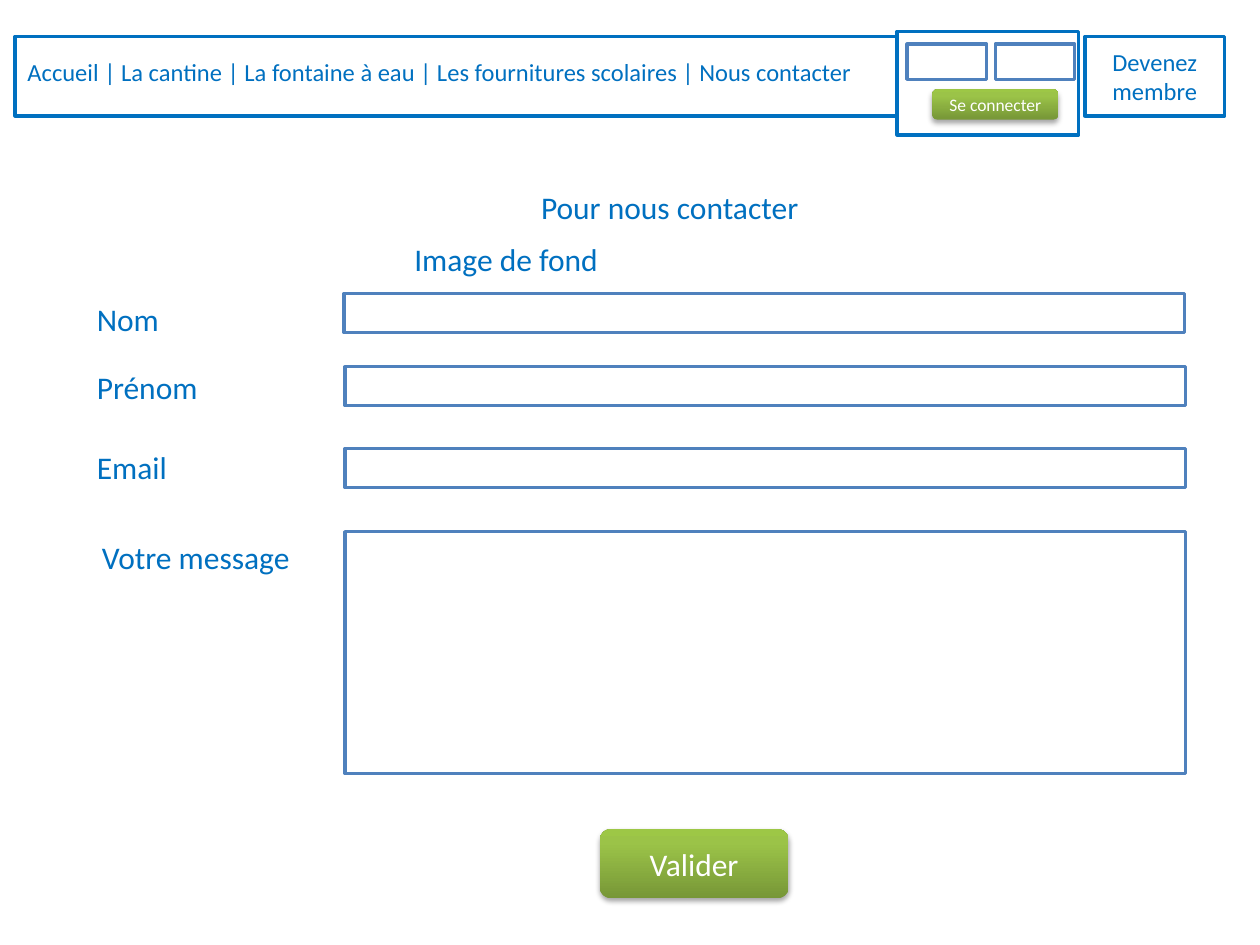
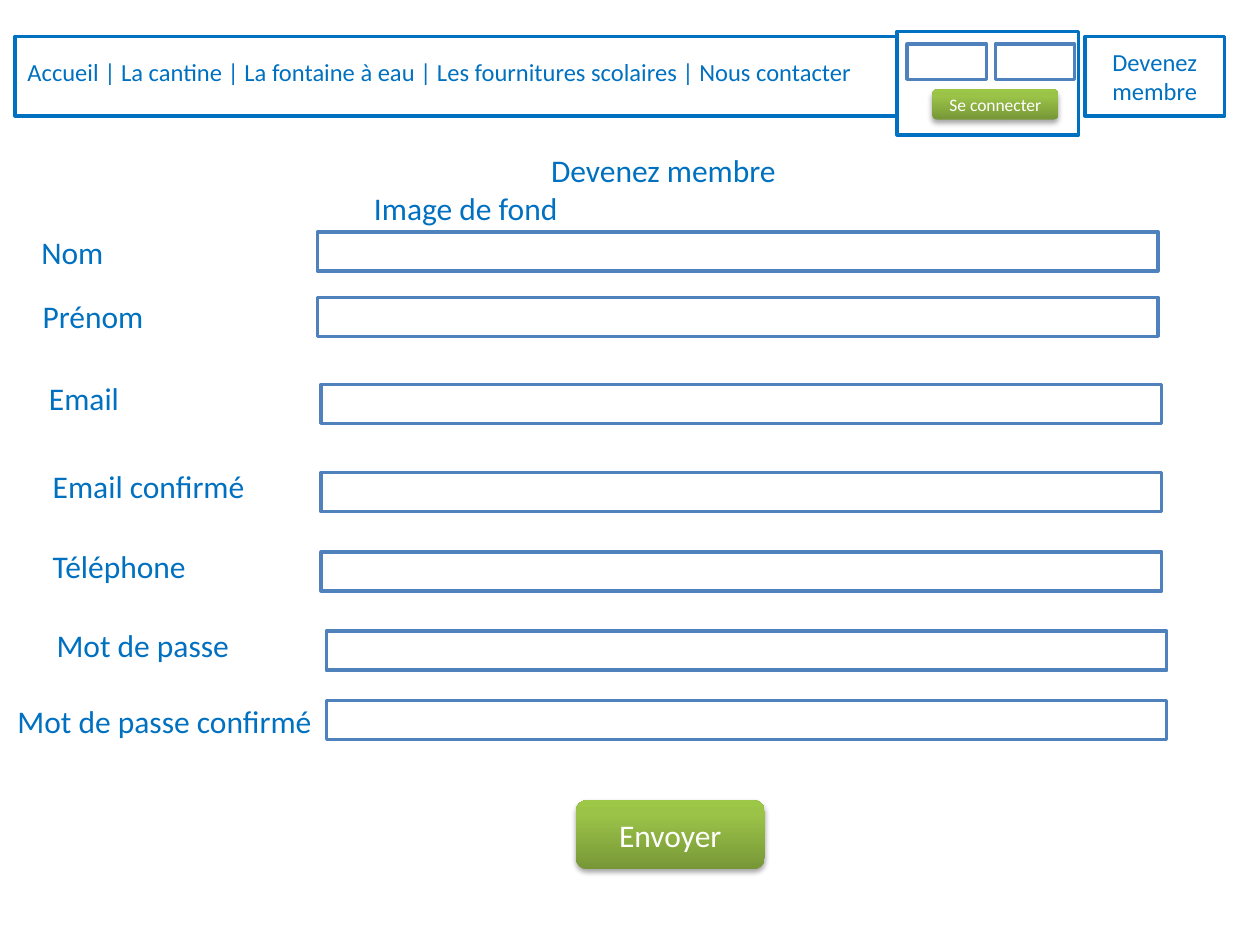
from pptx import Presentation
from pptx.dml.color import RGBColor
from pptx.enum.shapes import MSO_SHAPE as Kind
from pptx.enum.text import MSO_ANCHOR as Anchor, MSO_AUTO_SIZE as Auto, PP_ALIGN as Align
from pptx.oxml.ns import qn
from pptx.util import Inches, Pt
from lxml.etree import SubElement as Sub

FONT = "Calibri"
BLUE, STEEL, WHITE = "0070C0", "4F81BD", "FFFFFF"
GREEN = [(0, "779737"), (80, "9BC348"), (100, "9DC746")]
FIELD_W, FIELD_H, TEXT_H = 6.67, 0.31, 0.4

MENU = ["Accueil", "La cantine", "La fontaine à eau", "Les fournitures scolaires", "Nous contacter"]
JOIN = "Devenez membre"
LOGIN = "Se connecter"
BACK = "Image de fond"

# label, (left, top, width), field (left, top, height)
PAGES = [
    {
        "title": ("Pour nous contacter", 3.19, 1.44),
        "back": (3.19, 1.86),
        "rows": [
            ("Nom", (0.67, 2.33, 1.57), (2.73, 2.33, FIELD_H)),
            ("Prénom", (0.67, 2.87, 1.57), (2.74, 2.91, FIELD_H)),
            ("Email", (0.67, 3.51, 1.57), (2.74, 3.56, FIELD_H)),
            ("Votre message", (0.71, 4.22, 2.03), (2.74, 4.22, 1.92)),
        ],
        "send": ("Valider", 4.76, 6.58),
    },
    {
        "title": (JOIN, 3.14, 1.15),
        "back": (2.87, 1.45),
        "rows": [
            ("Nom", (0.23, 1.8, 1.57), (2.52, 1.84, FIELD_H)),
            ("Prénom", (0.24, 2.31, 1.57), (2.52, 2.36, FIELD_H)),
            ("Email", (0.29, 2.96, 1.57), (2.55, 3.05, FIELD_H)),
            ("Email confirmé", (0.32, 3.66, 1.81), (2.55, 3.75, FIELD_H)),
            ("Téléphone", (0.32, 4.29, 1.81), (2.55, 4.38, FIELD_H)),
            ("Mot de passe", (0.35, 4.92, 1.81), (2.59, 5.01, FIELD_H)),
            ("Mot de passe confirmé", (0.04, 5.52, 3.15), (2.59, 5.56, FIELD_H)),
        ],
        "send": ("Envoyer", 4.57, 6.35),
    },
]


def color(code):
    return RGBColor.from_string(code)


def write(shape, text, size, code, align):
    frame = shape.text_frame
    frame.text = text
    frame.word_wrap = True
    for para in frame.paragraphs:
        para.alignment = align
        for run in para.runs:
            run.font.name = FONT
            run.font.size = Pt(size)
            run.font.color.rgb = color(code)


def label(slide, text, left, top, width, height=TEXT_H, size=18, align=Align.LEFT):
    box = slide.shapes.add_textbox(*map(Inches, (left, top, width, height)))
    write(box, text, size, BLUE, align)
    box.text_frame.auto_size = Auto.SHAPE_TO_FIT_TEXT


def block(slide, kind, place):
    shape = slide.shapes.add_shape(kind, *map(Inches, place))
    shape.shadow.inherit = False
    shape.text_frame.vertical_anchor = Anchor.MIDDLE
    return shape


def frame(slide, *place, line=STEEL):
    shape = block(slide, Kind.RECTANGLE, place)
    shape.fill.solid()
    shape.fill.fore_color.rgb = color(WHITE)
    shape.line.color.rgb = color(line)
    shape.line.width = Pt(2)
    return shape


def button(slide, text, *place, size=18):
    shape = block(slide, Kind.ROUNDED_RECTANGLE, place)
    shape.line.fill.background()
    shape.fill.gradient()
    shape.fill.gradient_angle = 90
    props = shape._element.spPr
    stops = props.find(qn("a:gradFill")).find(qn("a:gsLst"))
    for stop in list(stops):
        stops.remove(stop)
    for spot, code in GREEN:
        stop = Sub(stops, qn("a:gs"), pos=str(spot * 1000))
        Sub(stop, qn("a:srgbClr"), val=code)
    shade = Sub(props.find(qn("a:effectLst")), qn("a:outerShdw"), blurRad=str(Pt(3.1)),
                dist=str(Pt(1.8)), dir="5400000", rotWithShape="0")
    tint = Sub(shade, qn("a:srgbClr"), val="000000")
    Sub(tint, qn("a:alpha"), val="35000")
    write(shape, text, size, WHITE, Align.CENTER)


def header(slide):
    frame(slide, 0.12, 0.29, 7.24, 0.63, line=BLUE)
    join = frame(slide, 8.61, 0.29, 1.11, 0.63, line=BLUE)
    write(join, JOIN, 14, BLUE, Align.CENTER)
    label(slide, " | ".join(MENU), 0.12, 0.4, 7.24, 0.34, size=14)
    frame(slide, 7.12, 0.25, 1.44, 0.82, line=BLUE)
    for col in range(2):
        frame(slide, 7.2 + 0.7 * col, 0.35, 0.63, 0.28)
    button(slide, LOGIN, 7.4, 0.71, 1, 0.24, size=10)


def form(slide, page):
    label(slide, *page["title"], 4.25, align=Align.CENTER)
    for name, spot, (left, top, height) in page["rows"]:
        frame(slide, left, top, FIELD_W, height)
        label(slide, name, *spot)
    button(slide, *page["send"], 1.5, 0.55)
    label(slide, BACK, *page["back"], 4.8)


def main():
    deck = Presentation()
    deck.slide_width, deck.slide_height = Inches(10), Inches(7.5)
    for page in PAGES:
        slide = deck.slides.add_slide(deck.slide_layouts[6])
        header(slide)
        form(slide, page)
    deck.save("out.pptx")


if __name__ == "__main__":
    main()
